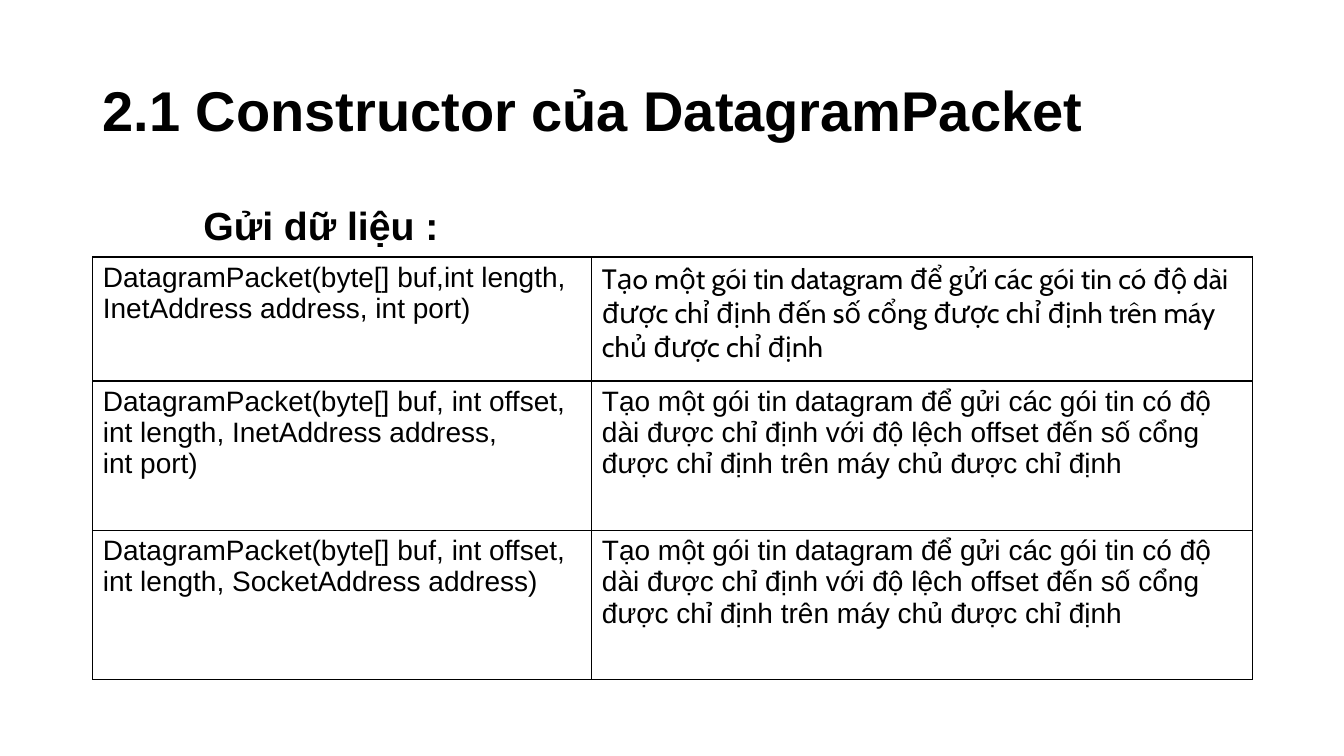
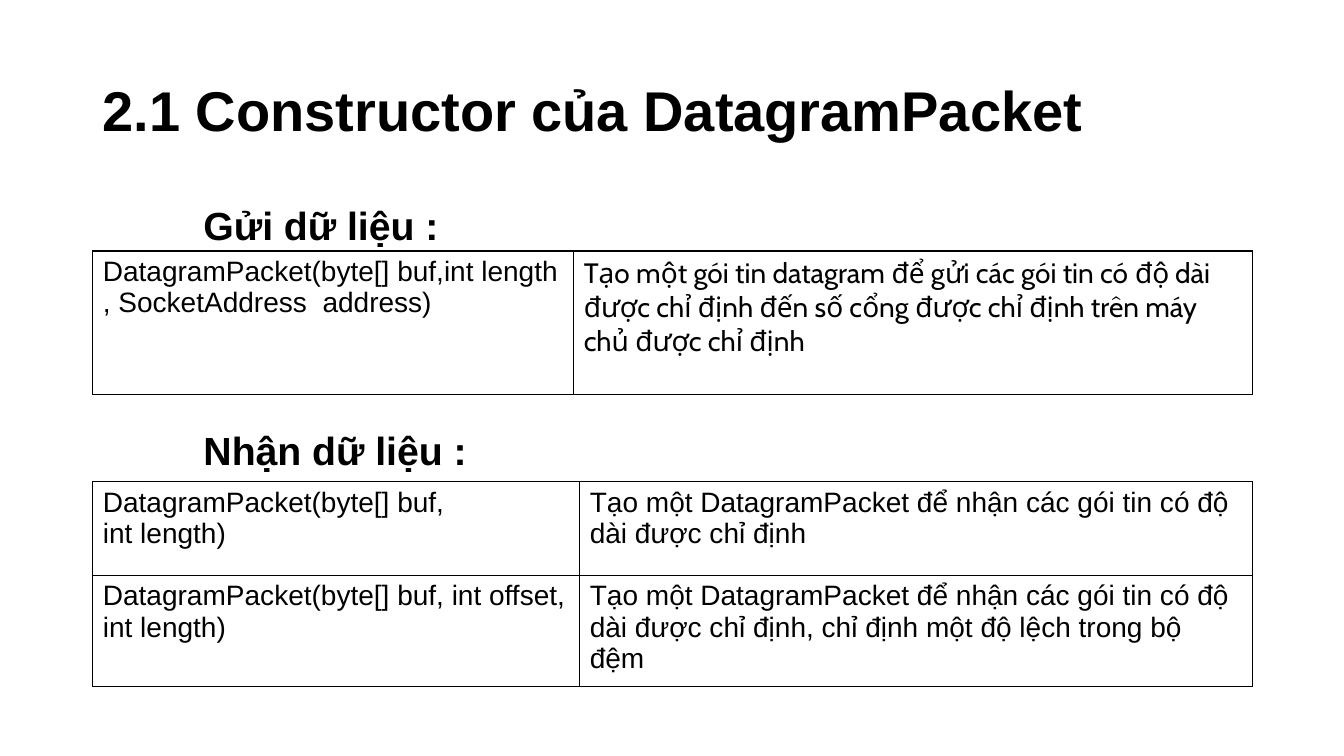
from dataclasses import dataclass

from lxml import etree
from pptx import Presentation
from pptx.dml.color import RGBColor
from pptx.enum import text
from pptx.oxml import ns
from pptx.util import Inches, Pt

# Shared look
INK = "000000"
FONT = "Arial"
ACCENT_FONT = "Cabin"
LEFT, WIDTH = 0.92, 11.5
HEADING_INDENT = 1
TITLE = "2.1 Constructor của DatagramPacket"
HARD_SPACE = chr(160)  # written as ~ in the signatures below


@dataclass
class Row:
    height: float
    signature: str
    meaning: str
    meaning_font: str = FONT


@dataclass
class Section:
    heading: str
    heading_top: float
    table_top: float
    signature_width: float
    rows: list[Row]


def color(value: str) -> RGBColor:
    return RGBColor.from_string(value)


def style(para, size: float, font: str = FONT, bold: bool = False) -> None:
    para.font.size = Pt(size)
    para.font.name = font
    para.font.bold = bold
    para.font.color.rgb = color(INK)


def add_text(page, content: str, left: float, top: float, width: float, height: float,
             size: float, anchor=text.MSO_ANCHOR.TOP) -> None:
    frame = page.shapes.add_textbox(Inches(left), Inches(top), Inches(width), Inches(height)).text_frame
    frame.word_wrap = True
    frame.vertical_anchor = anchor
    para = frame.paragraphs[0]
    para.text = content
    para.line_spacing = 0.9
    style(para, size, bold=True)


def add_borders(cell) -> None:
    properties = cell._tc.get_or_add_tcPr()
    for index, side in enumerate(("lnL", "lnR", "lnT", "lnB")):
        line = etree.Element(ns.qn(f"a:{side}"), w=str(Pt(1)))
        fill = etree.SubElement(line, ns.qn("a:solidFill"))
        etree.SubElement(fill, ns.qn("a:srgbClr"), val=INK)
        properties.insert(index, line)  # borders precede the fill


def fill_cell(cell, content: str, font: str) -> None:
    cell.fill.background()
    add_borders(cell)
    cell.text_frame.text = content
    for para in cell.text_frame.paragraphs:
        style(para, 20, font)


def add_section(page, section: Section) -> None:
    add_text(page, section.heading, LEFT + HEADING_INDENT, section.heading_top,
             WIDTH - HEADING_INDENT, 0.5, 28)
    height = sum(row.height for row in section.rows)
    table = page.shapes.add_table(len(section.rows), 2, Inches(LEFT), Inches(section.table_top),
                                  Inches(WIDTH), Inches(height)).table
    table.first_row = table.horz_banding = False
    table.columns[0].width = Inches(section.signature_width)
    table.columns[1].width = Inches(WIDTH - section.signature_width)
    for index, row in enumerate(section.rows):
        table.rows[index].height = Inches(row.height)
        fill_cell(table.cell(index, 0), row.signature.replace("~", HARD_SPACE), FONT)
        fill_cell(table.cell(index, 1), row.meaning, row.meaning_font)


# Wording
SEND = "Gửi dữ liệu :"
RECEIVE = "Nhận dữ liệu :"
SEND_TO_PORT = ("Tạo một gói tin datagram để gửi các gói tin có độ dài được chỉ định "
                "đến số cổng được chỉ định trên máy chủ được chỉ định")
SEND_WITH_OFFSET = ("Tạo một gói tin datagram để gửi các gói tin có độ dài được chỉ định "
                    "với độ lệch offset đến số cổng được chỉ định trên máy chủ được chỉ định")
RECEIVE_LENGTH = "Tạo một DatagramPacket để nhận các gói tin có độ dài được chỉ định"

PAGES = [
    [Section(SEND, 2, 2.55, 4.95, [
        Row(1.23, "DatagramPacket(byte[]~buf,int~length,\nInetAddress~address, int~port)",
            SEND_TO_PORT, ACCENT_FONT),
        Row(1.48, "DatagramPacket(byte[]~buf, int~offset, int~length,~InetAddress~address, int~port)",
            SEND_WITH_OFFSET),
        Row(1.48, "DatagramPacket(byte[]~buf, int~offset, int~length,~SocketAddress~address)",
            SEND_WITH_OFFSET),
    ])],
    [Section(SEND, 2, 2.49, 4.77, [
        Row(1.42, "DatagramPacket(byte[]~buf,int~length,~SocketAddress~ address)",
            SEND_TO_PORT, ACCENT_FONT),
    ]), Section(RECEIVE, 4.23, 4.78, 4.83, [
        Row(0.93, "DatagramPacket(byte[]~buf, int~length)", RECEIVE_LENGTH),
        Row(1.1, "DatagramPacket(byte[]~buf, int~offset, int~length)",
            RECEIVE_LENGTH + ", chỉ định một độ lệch trong bộ đệm"),
    ])],
]


def main() -> None:
    deck = Presentation()
    deck.slide_width, deck.slide_height = Inches(13.33), Inches(7.5)
    for sections in PAGES:
        page = deck.slides.add_slide(deck.slide_layouts[6])
        add_text(page, TITLE, LEFT, 0.4, WIDTH, 1.45, 40, text.MSO_ANCHOR.MIDDLE)
        for section in sections:
            add_section(page, section)
    deck.save("out.pptx")


if __name__ == "__main__":
    main()
